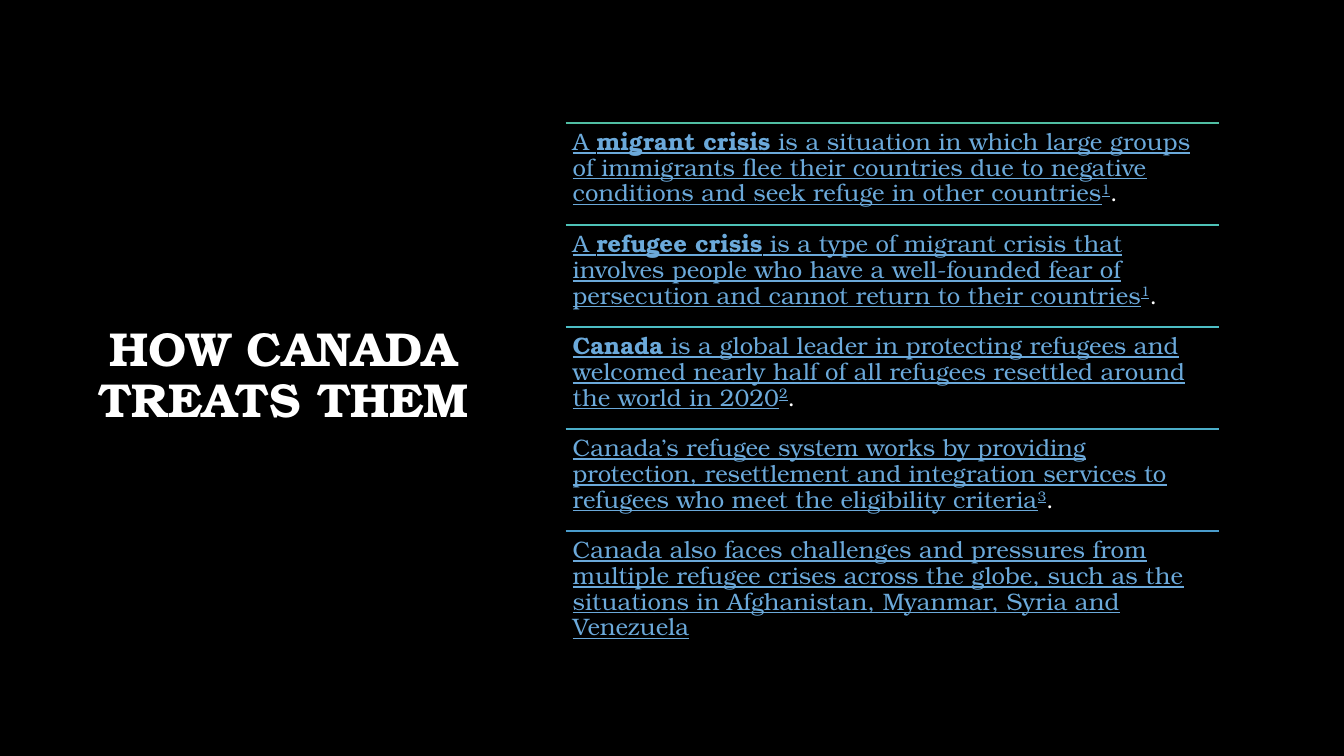
from dataclasses import dataclass

from lxml.etree import SubElement
from pptx import Presentation
from pptx.dml.color import RGBColor
from pptx.enum.shapes import MSO_CONNECTOR as Connector
from pptx.enum.text import MSO_ANCHOR as Anchor, PP_ALIGN as Align
from pptx.oxml.ns import qn
from pptx.slide import Slide
from pptx.text.text import TextFrame, _Paragraph as Paragraph
from pptx.util import Inches, Pt

FONT = "TeX Gyre Bonum"
COLORS = {"background": "000000", "plain": "FFFFFF", "link": "6BA9DA"}
FACTS_LEFT, FACTS_TOP, FACTS_WIDTH = 5.61, 1.22, 6.48
LAST_FACT_TOP = 5.27
INSET = 0.07


@dataclass
class Fact:
    rule_color: str
    body: str
    lead: str = ""
    term: str = ""
    footnote: str = ""


FACTS = [
    Fact("50BEA3", " is a situation in which large groups of immigrants flee their countries "
         "due to negative conditions and seek refuge in other countries",
         lead="A ", term="migrant crisis", footnote="1"),
    Fact("4EC2B7", " is a type of migrant crisis that involves people who have a well-founded "
         "fear of persecution and cannot return to their countries",
         lead="A ", term="refugee crisis", footnote="1"),
    Fact("4DBEC5", " is a global leader in protecting refugees and welcomed nearly half of all "
         "refugees resettled around the world in 2020",
         term="Canada", footnote="2"),
    Fact("4BAEC9", "Canada’s refugee system works by providing protection, resettlement and "
         "integration services to refugees who meet the eligibility criteria", footnote="3"),
    Fact("4A9CCC", "Canada also faces challenges and pressures from multiple refugee crises "
         "across the globe, such as the situations in Afghanistan, Myanmar, Syria and Venezuela"),
]
PITCH = (LAST_FACT_TOP - FACTS_TOP) / (len(FACTS) - 1)


def add_text_frame(slide: Slide, left: float, top: float, width: float, height: float) -> TextFrame:
    box = slide.shapes.add_textbox(Inches(left), Inches(top), Inches(width), Inches(height))
    frame = box.text_frame
    frame.word_wrap = True
    frame.paragraphs[0].line_spacing = 0.9
    return frame


def add_run(paragraph: Paragraph, text: str, size: float, color: str, bold: bool = False,
            underline: bool = False, superscript: bool = False) -> None:
    run = paragraph.add_run()
    run.text = text
    run.font.name = FONT
    run.font.size = Pt(size)
    run.font.bold = bold
    run.font.underline = underline
    run.font.color.rgb = RGBColor.from_string(COLORS[color])
    if superscript:
        run._r.get_or_add_rPr().set("baseline", "30000")


def add_title(slide: Slide) -> None:
    frame = add_text_frame(slide, 0.82, 0.67, 3.98, 6.13)
    frame.vertical_anchor = Anchor.MIDDLE
    heading = frame.paragraphs[0]
    heading.alignment = Align.CENTER
    add_run(heading, "HOW CANADA TREATS THEM", 34, "plain", bold=True)


def add_rule(slide: Slide, top: float, color: str) -> None:
    rule = slide.shapes.add_connector(
        Connector.STRAIGHT, Inches(FACTS_LEFT), Inches(top),
        Inches(FACTS_LEFT + FACTS_WIDTH), Inches(top))
    rule.line.color.rgb = RGBColor.from_string(color)
    rule.line.width = Pt(1)
    SubElement(rule._element.spPr, qn("a:effectLst"))


def add_fact(slide: Slide, top: float, fact: Fact) -> None:
    add_rule(slide, top, fact.rule_color)
    frame = add_text_frame(slide, FACTS_LEFT, top, FACTS_WIDTH, PITCH)
    frame.margin_left = frame.margin_right = Inches(INSET)
    frame.margin_top = frame.margin_bottom = Inches(INSET)
    sentence = frame.paragraphs[0]
    if fact.lead:
        add_run(sentence, fact.lead, 17, "link", underline=True)
    if fact.term:
        add_run(sentence, fact.term, 17, "link", bold=True, underline=True)
    add_run(sentence, fact.body, 17, "link", underline=True)
    if fact.footnote:
        add_run(sentence, fact.footnote, 17, "link", underline=True, superscript=True)
        add_run(sentence, ".", 17, "plain")


def main() -> None:
    deck = Presentation()
    deck.slide_width, deck.slide_height = Inches(13.33), Inches(7.5)
    slide = deck.slides.add_slide(deck.slide_layouts[6])
    slide.background.fill.solid()
    slide.background.fill.fore_color.rgb = RGBColor.from_string(COLORS["background"])
    add_title(slide)
    for index, fact in enumerate(FACTS):
        add_fact(slide, FACTS_TOP + index * PITCH, fact)
    deck.save("out.pptx")


if __name__ == "__main__":
    main()
